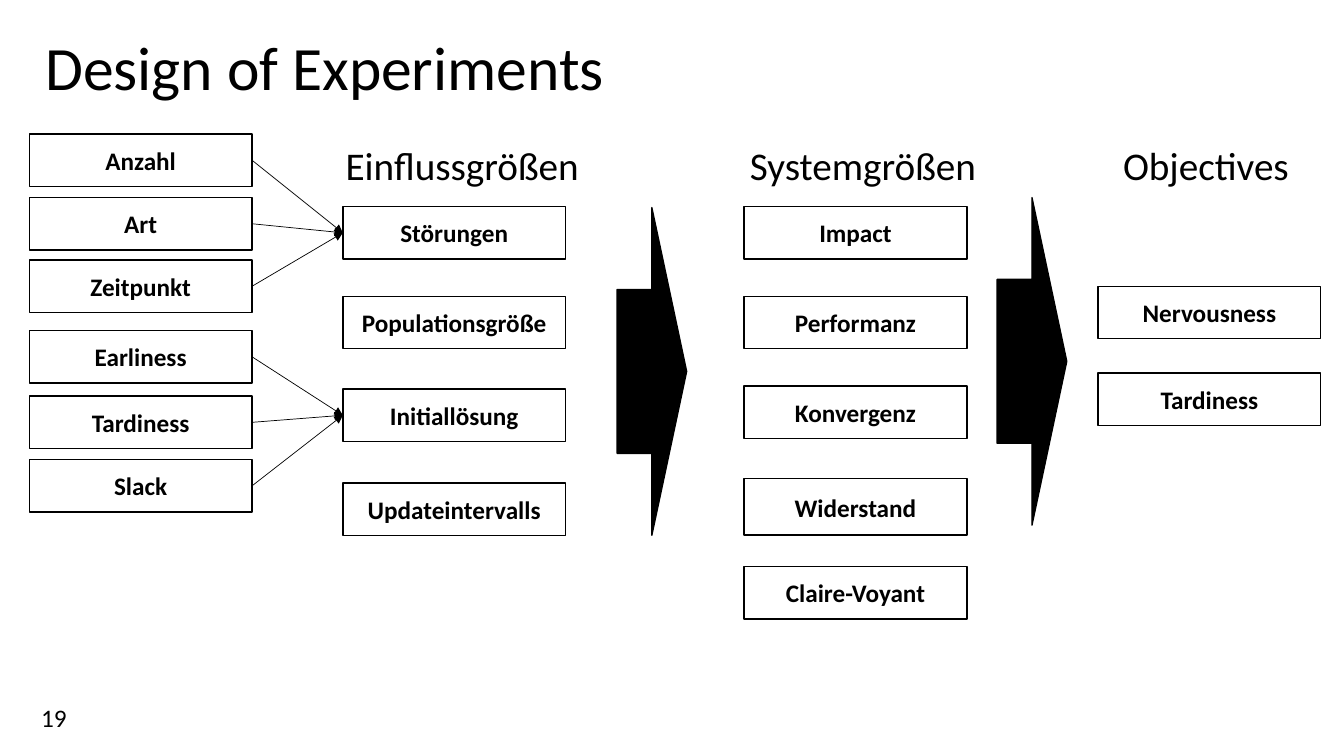
import lxml.etree
import pptx
import pptx.dml.color
import pptx.enum.shapes
import pptx.enum.text
import pptx.oxml.ns
import pptx.util

PX = 9144
COLORS = {"ink": "000000", "paper": "FFFFFF"}
ALIGN = pptx.enum.text.PP_ALIGN
SHAPES = pptx.enum.shapes.MSO_SHAPE
BOX_WIDTH, BOX_HEIGHT = 221, 52

TITLE = {"text": "Design of Experiments", "box": (35, 16, 1266, 108), "size": 44}
PAGE_NUMBER = {"text": "19", "box": (25, 692, 51, 40), "size": 18}
HEADINGS = {"Einflussgrößen": 333, "Systemgrößen": 734, "Objectives": 1104}
INFLUENCES = {"Störungen": 205, "Populationsgröße": 294, "Initiallösung": 386, "Updateintervalls": 479}
SYSTEM = {"Impact": 205, "Performanz": 294, "Konvergenz": 383, "Widerstand": 475, "Claire-Voyant": 562}
OBJECTIVES = {"Nervousness": 284, "Tardiness": 370}
FACTORS = {
    "Störungen": {"Anzahl": 133, "Art": 196, "Zeitpunkt": 258},
    "Initiallösung": {"Earliness": 328, "Tardiness": 393, "Slack": 456},
}
BLOCK_ARROWS = [(612, 206, 69, 325), (989, 196, 69, 325)]


def px(*lengths):
    """Turn pixel lengths into EMU."""
    return [length * PX for length in lengths]


def color(name):
    """Look up a palette colour."""
    return pptx.dml.color.RGBColor.from_string(COLORS[name])


def apply(target, values):
    """Set every attribute in a dict of format values."""
    for name, value in values.items():
        setattr(target, name, value)


def write(shape, text, size, paragraph_format, bold=False, anchor="MIDDLE"):
    """Put one formatted paragraph into a shape."""
    apply(shape.text_frame, {
        "word_wrap": True,
        "vertical_anchor": getattr(pptx.enum.text.MSO_ANCHOR, anchor),
    })
    paragraph = shape.text_frame.paragraphs[0]
    apply(paragraph, paragraph_format)
    run = paragraph.add_run()
    run.text = text
    apply(run.font, {"name": "Calibri", "size": pptx.util.Pt(size), "bold": bold})
    run.font.color.rgb = color("ink")


def add_label(slide, text, box, size, paragraph_format, anchor="MIDDLE"):
    """Add plain text without a frame."""
    label = slide.shapes.add_textbox(*px(*box))
    write(label, text, size, paragraph_format, anchor=anchor)


def add_outlined(slide, kind, box, fill):
    """Add a filled shape with a thin dark outline."""
    shape = slide.shapes.add_shape(kind, *px(*box))
    shape.shadow.inherit = False
    shape.fill.solid()
    shape.fill.fore_color.rgb = color(fill)
    shape.line.color.rgb = color("ink")
    shape.line.width = pptx.util.Pt(1)
    return shape


def add_column(slide, left, tops, heights):
    """Add a column of labelled boxes and return them by label."""
    boxes = {}
    for text, top in tops.items():
        place = (left, top, BOX_WIDTH, heights.get(text, BOX_HEIGHT))
        boxes[text] = add_outlined(slide, SHAPES.RECTANGLE, place, "paper")
        write(boxes[text], text, 18, {"alignment": ALIGN.CENTER}, bold=True)
    return boxes


def add_link(slide, source, target):
    """Join a box's right side to another box's left side with an arrow."""
    link = slide.shapes.add_connector(pptx.enum.shapes.MSO_CONNECTOR.STRAIGHT, 0, 0, 0, 0)
    link.begin_connect(source, 3)
    link.end_connect(target, 1)
    link.line.color.rgb = color("ink")
    link.line.width = pptx.util.Pt(0.5)
    qualified = pptx.oxml.ns.qn
    lxml.etree.SubElement(link.line._get_or_add_ln(), qualified("a:tailEnd"), type="triangle")
    lxml.etree.SubElement(link._element.spPr, qualified("a:effectLst"))


def main():
    """Build the slide and save it."""
    presentation = pptx.Presentation()
    apply(presentation, dict(zip(("slide_width", "slide_height"), px(1333, 750))))
    slide = presentation.slides.add_slide(presentation.slide_layouts[6])
    add_label(slide, **TITLE, paragraph_format={"line_spacing": 0.9})
    add_label(slide, **PAGE_NUMBER, paragraph_format={"alignment": ALIGN.RIGHT})
    for text, left in HEADINGS.items():
        add_label(slide, text, (left, 141, 270, 53), 28, {"line_spacing": 0.9}, "TOP")
    influences = add_column(slide, 340, INFLUENCES, {})
    add_column(slide, 738, SYSTEM, {"Widerstand": 56})
    add_column(slide, 1089, OBJECTIVES, {})
    for influence, tops in FACTORS.items():
        for factor in add_column(slide, 29, tops, {}).values():
            add_link(slide, factor, influences[influence])
    for place in BLOCK_ARROWS:
        add_outlined(slide, SHAPES.RIGHT_ARROW, place, "ink")
    presentation.save("out.pptx")


if __name__ == "__main__":
    main()
